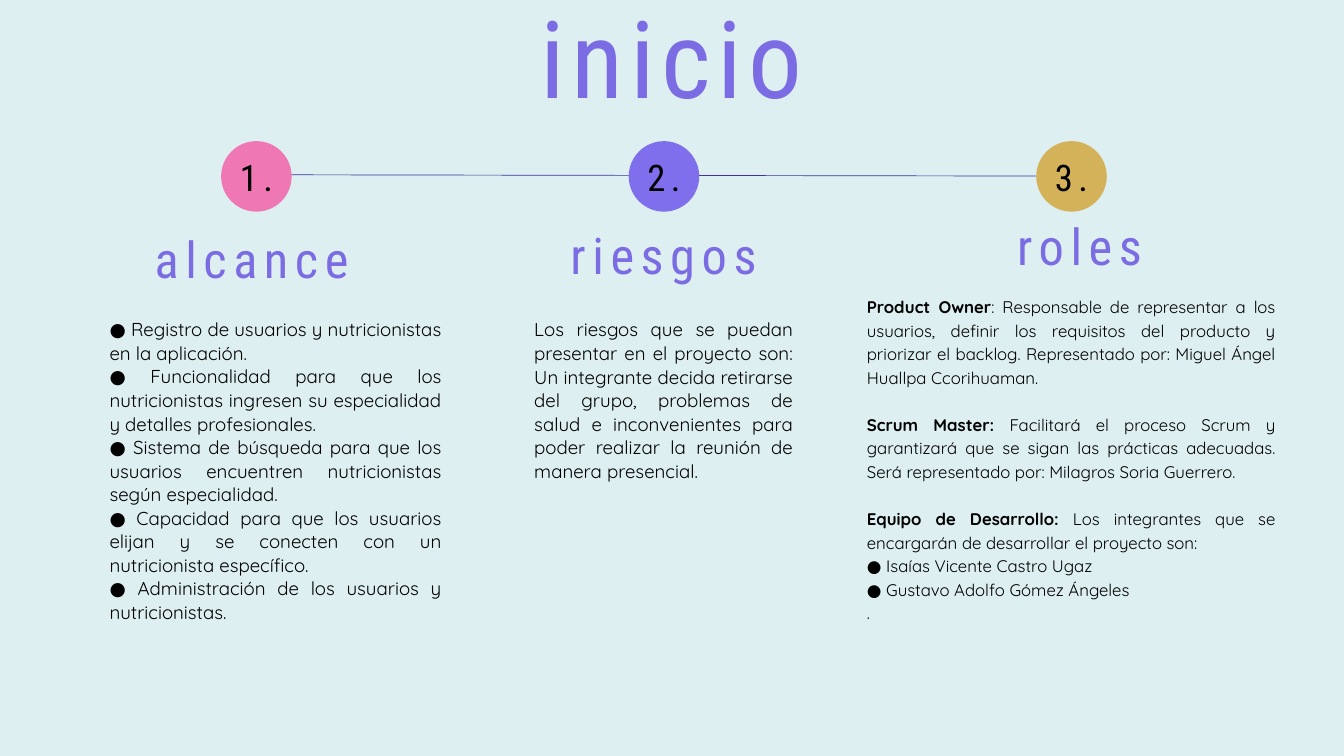
from pptx import Presentation
from pptx.dml.color import RGBColor
from pptx.enum.shapes import MSO_CONNECTOR, MSO_SHAPE
from pptx.enum.text import MSO_ANCHOR, MSO_AUTO_SIZE, PP_ALIGN
from pptx.oxml.ns import qn
from pptx.util import Inches, Pt

OVAL = MSO_SHAPE.OVAL
STRAIGHT = MSO_CONNECTOR.STRAIGHT
TOP, MIDDLE = MSO_ANCHOR.TOP, MSO_ANCHOR.MIDDLE
CENTER, JUSTIFY = PP_ALIGN.CENTER, PP_ALIGN.JUSTIFY
NO_FIT = MSO_AUTO_SIZE.NONE

HEAD_FONT, BODY_FONT = "Roboto Condensed", "Quicksand"
PURPLE, BLACK = "7C6CE3", "000000"
BODY_LINE = 25.2
CIRCLE = 1.05
CIRCLE_TOP = 2.1
FIRST_X, LAST_X = 3.29, 15.42

SCOPE = [
    [("● Registro de usuarios y nutricionistas en la aplicación.", False)],
    [("● Funcionalidad para que los nutricionistas ingresen su especialidad "
      "y detalles profesionales.", False)],
    [("● Sistema de búsqueda para que los usuarios encuentren nutricionistas "
      "según especialidad.", False)],
    [("● Capacidad para que los usuarios elijan y se conecten con un "
      "nutricionista específico.", False)],
    [("● Administración de los usuarios y nutricionistas.", False)],
]
RISKS = [
    [("Los riesgos que se puedan presentar en el proyecto son: Un integrante "
      "decida retirarse del grupo, problemas de salud e inconvenientes para "
      "poder realizar la reunión de manera presencial.", False)],
]
ROLES = [
    [("Product Owner", True),
     (": Responsable de representar a los usuarios, definir los requisitos del "
      "producto y priorizar el backlog. Representado por: Miguel Ángel Huallpa "
      "Ccorihuaman.", False)],
    [("Scrum Master: ", True),
     ("Facilitará el proceso Scrum y garantizará que se sigan las prácticas "
      "adecuadas. Será representado por: Milagros Soria Guerrero.", False)],
    [("Equipo de Desarrollo: ", True),
     ("Los integrantes que se encargarán de desarrollar el proyecto son:", False)],
    [("● Isaías Vicente Castro Ugaz", False)],
    [("● Gustavo Adolfo Gómez Ángeles", False)],
    [(".", False)],
]

# number, circle colour, heading, heading box, paragraphs, body box, body size
STEPS = [
    ("1.", "EF78B4", "alcance", (2.17, 3.16, 3.15, 1.05), SCOPE, (1.63, 4.72, 4.94, 4.53), 20),
    ("2.", "7F6FED", "riesgos", (8.3, 3.1, 3.15, 1.05), RISKS, (7.95, 4.72, 3.85, 2.79), 20),
    ("3.", "D4B25A", "roles", (14.49, 2.97, 3.15, 1.05), ROLES, (12.9, 4.37, 6.08, 4.88), 18),
]


def rgb(value):
    """Return the colour of a hex string."""
    return RGBColor.from_string(value)


def inches(box):
    """Return the box as lengths."""
    return [Inches(v) for v in box]


def set_frame(tf, anchor=TOP, insets=(0, 0, 0, 0), wrap=True):
    """Set wrapping, anchor and insets of a text frame."""
    tf.auto_size = NO_FIT
    tf.word_wrap = wrap
    tf.vertical_anchor = anchor
    tf.margin_left, tf.margin_top, tf.margin_right, tf.margin_bottom = inches(insets)


def set_spaced_text(tf, text, size, color, line, tracking):
    """Write one centred line in the letter-spaced heading font."""
    tf.text = text
    p = tf.paragraphs[0]
    p.alignment = CENTER
    p.line_spacing = Pt(line)
    r = p.runs[0]
    r.font.name, r.font.size, r.font.bold = HEAD_FONT, Pt(size), False
    r.font.color.rgb = rgb(color)
    r.font._element.set("spc", str(round(tracking * 100)))


def add_title(s, box):
    """Place the slide title."""
    title = s.shapes.title
    title.left, title.top, title.width, title.height = inches(box)
    set_frame(title.text_frame)
    set_spaced_text(title.text_frame, "inicio", 115, PURPLE, 77.7, 7.1)


def add_timeline(s, start, end):
    """Draw the line behind the numbered circles."""
    line = s.shapes.add_connector(STRAIGHT, *inches(start), *inches(end))
    line.line.color.rgb = rgb("40329E")
    line.line.width = Pt(0.75)
    sp_pr = line._element.spPr
    sp_pr.append(sp_pr.makeelement(qn("a:effectLst"), {}))


def add_number(s, box, number, color):
    """Add a numbered circle."""
    sp = s.shapes.add_shape(OVAL, *inches(box))
    sp.shadow.inherit = False
    sp.fill.solid()
    sp.fill.fore_color.rgb = rgb(color)
    sp.line.fill.background()
    set_frame(sp.text_frame, MIDDLE, (0, 0, 0, 0.1), wrap=False)
    set_spaced_text(sp.text_frame, number, 39.2, BLACK, 54.9, 5.9)


def add_heading(s, box, text):
    """Add the heading of a step."""
    tf = s.shapes.add_textbox(*inches(box)).text_frame
    set_frame(tf, insets=(0.1, 0.05, 0.1, 0.05))
    set_spaced_text(tf, text, 54, PURPLE, 77.7, 7.1)


def add_body(s, box, paragraphs, size):
    """Add justified paragraphs, with a gap before each later bold lead-in."""
    tf = s.shapes.add_textbox(*inches(box)).text_frame
    set_frame(tf)
    for i, runs in enumerate(paragraphs):
        p = tf.add_paragraph() if i else tf.paragraphs[0]
        p.alignment = JUSTIFY
        p.line_spacing = Pt(BODY_LINE)
        if i and runs[0][1]:
            p.space_before = Pt(BODY_LINE)
        for text, bold in runs:
            r = p.add_run()
            r.text = text
            r.font.name, r.font.size, r.font.bold = BODY_FONT, Pt(size), bold
            r.font.color.rgb = rgb(BLACK)


def main():
    """Build and save the slide."""
    prs = Presentation()
    prs.slide_width, prs.slide_height = Inches(20), Inches(11.25)
    s = prs.slides.add_slide(prs.slide_layouts[5])
    s.background.fill.solid()
    s.background.fill.fore_color.rgb = rgb("DDEFF0")
    add_title(s, (1.12, 0.71, 17.75, 1.09))
    add_timeline(s, (3.55, 2.6), (LAST_X, 2.62))
    pitch = (LAST_X - FIRST_X) / (len(STEPS) - 1)
    for i, (number, color, heading, heading_box, body, body_box, size) in enumerate(STEPS):
        add_number(s, (FIRST_X + i * pitch, CIRCLE_TOP, CIRCLE, CIRCLE), number, color)
        add_heading(s, heading_box, heading)
        add_body(s, body_box, body, size)
    prs.save("out.pptx")


if __name__ == "__main__":
    main()
